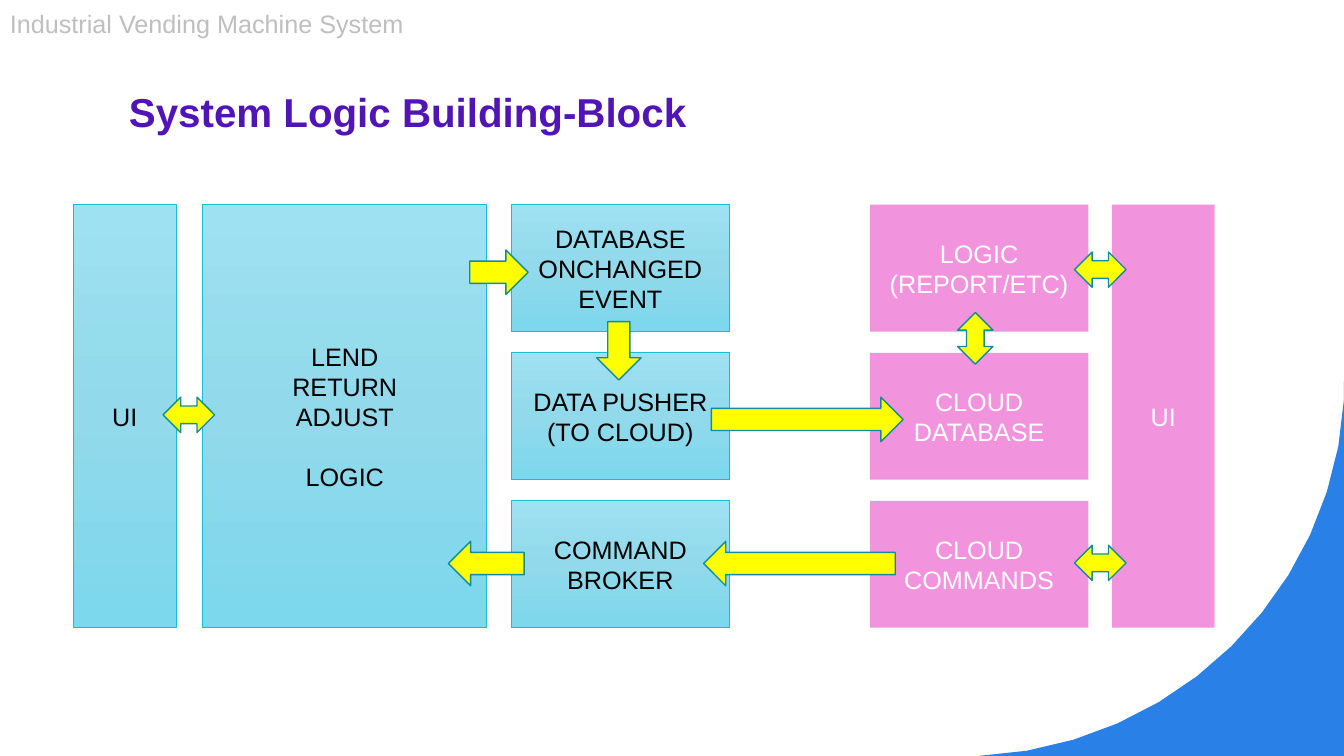
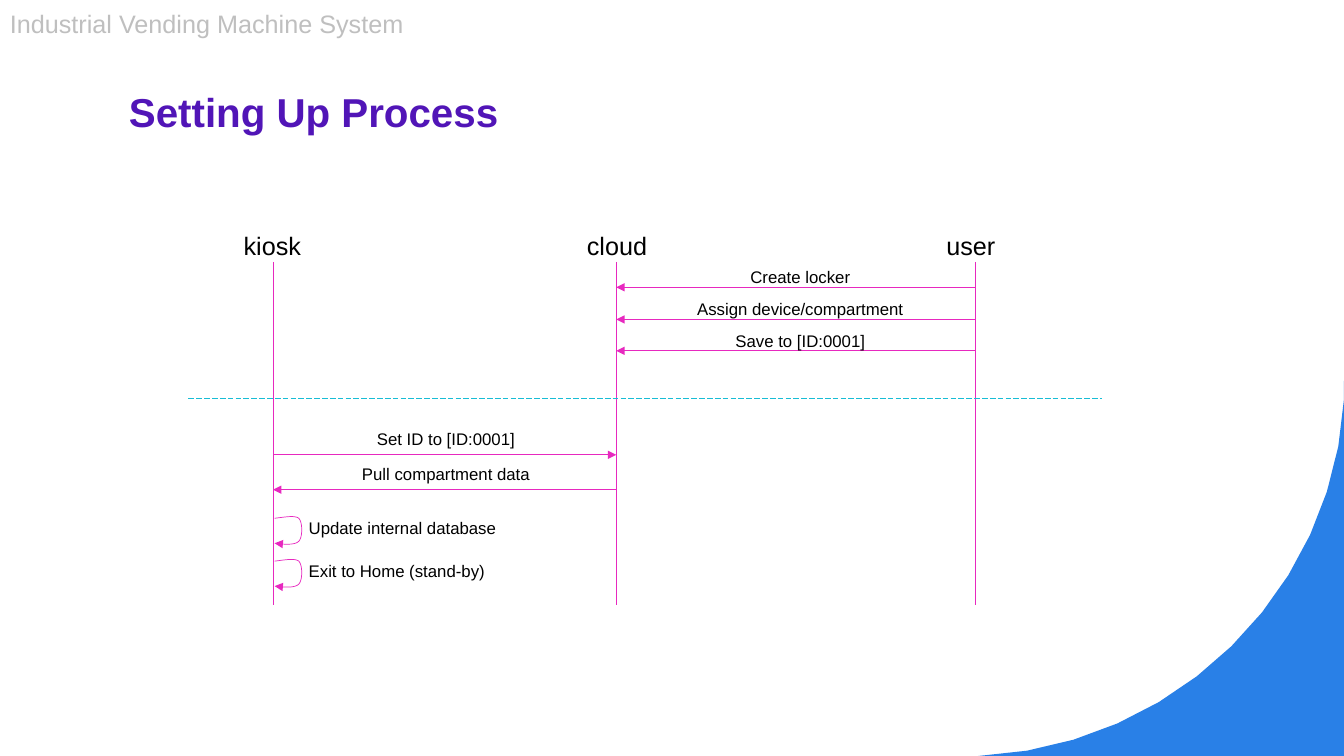
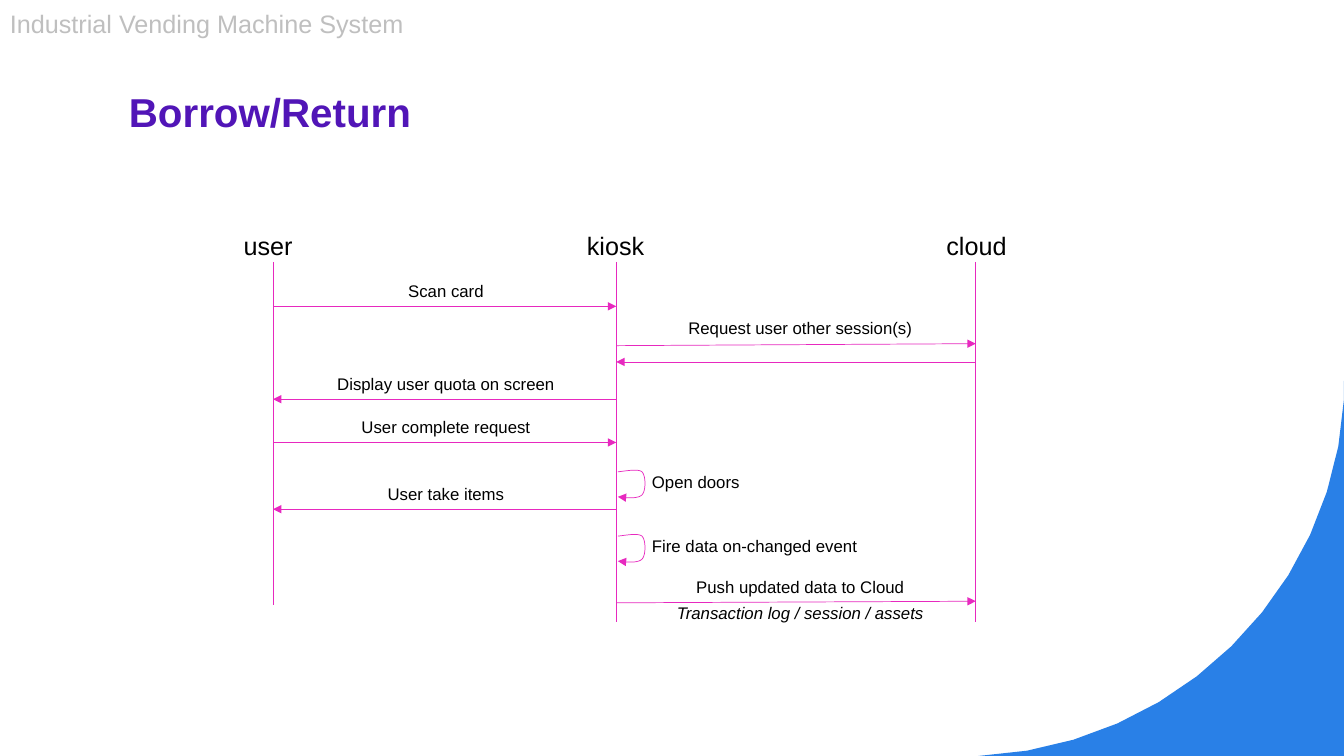
from copy import deepcopy
from dataclasses import dataclass

from lxml import etree
from pptx import Presentation
from pptx.dml.color import RGBColor
from pptx.enum.dml import MSO_LINE
from pptx.enum.shapes import MSO_CONNECTOR, MSO_SHAPE
from pptx.enum.text import MSO_ANCHOR, PP_ALIGN
from pptx.oxml.ns import qn
from pptx.util import Cm, Pt

LEFT, CENTER = PP_ALIGN.LEFT, PP_ALIGN.CENTER
TOP, MIDDLE, BOTTOM = MSO_ANCHOR.TOP, MSO_ANCHOR.MIDDLE, MSO_ANCHOR.BOTTOM
RECTANGLE = MSO_SHAPE.RECTANGLE
ONE_WAY, TWO_WAY = MSO_SHAPE.RIGHT_ARROW, MSO_SHAPE.LEFT_RIGHT_ARROW
STRAIGHT, LONG_DASH = MSO_CONNECTOR.STRAIGHT, MSO_LINE.LONG_DASH

FONT = "Arial"
COLORS = {
    "title": "5115B7",
    "header": "BFBFBF",
    "corner": "2980E7",
    "text": "000000",
    "white": "FFFFFF",
    "teal": "17BDD5",
    "magenta": "E729BF",
    "arrow": "FFFF00",
    "arrow_line": "118C9E",
    "gradient_top": "9EE1F2",
    "gradient_middle": "91D9EB",
    "gradient_bottom": "7CD8ED",
}
GRADIENT = ((0, "gradient_top"), (0.5, "gradient_middle"), (1, "gradient_bottom"))

SLIDE_WIDTH, SLIDE_HEIGHT = 33.87, 19.05
CURVE_STEPS = 12

ROW_TOP, ROW_PITCH, ROW_HEIGHT = 5.16, 3.73, 3.2
EVENT_LEFT, CLOUD_LEFT, MODULE_WIDTH, UI_WIDTH = 12.88, 21.92, 5.51, 2.59
ONE_WAY_HEIGHT, TWO_WAY_WIDTH, TWO_WAY_HEIGHT = 1.12, 1.3, 0.89

LANES = (6.88, 15.53, 24.59)
LABEL_CENTERS = (11.24, 20.17)
LANE_TOP, LANE_BOTTOM = 6.6, 15.24
LABEL_WIDTH, LABEL_HEIGHT = 7.0, 0.76
LOOP_CURVES = (
    ((0, 0), (0.25, -0.03), (0.51, -0.08), (0.61, 0)),
    ((0.61, 0), (0.71, 0.1), (0.71, 0.48), (0.61, 0.58)),
    ((0.61, 0.58), (0.51, 0.68), (0.25, 0.66), (0, 0.63)),
)


@dataclass
class Block:
    left: float
    width: float
    text: str
    row: int = 0
    rows: int = 1
    cloud: bool = False
    last_line: str = ""


@dataclass
class Arrow:
    left: float
    top: float
    width: float = TWO_WAY_WIDTH
    rotation: int = 0
    two_way: bool = False


@dataclass
class Message:
    start: int
    end: int
    y: float
    label: str = ""
    gap: float = 0.77
    rise: float = 0
    note: str = ""


@dataclass
class Loop:
    lane: int
    y: float
    label: str


@dataclass
class Sequence:
    title: str
    actors: tuple
    bottoms: tuple
    messages: list
    loops: list


BLOCKS = [
    Block(1.85, UI_WIDTH, "UI", rows=3),
    Block(5.11, 7.16, "LEND\nRETURN\nADJUST", rows=3, last_line="LOGIC"),
    Block(EVENT_LEFT, MODULE_WIDTH, "DATABASE\nONCHANGED\nEVENT"),
    Block(EVENT_LEFT, MODULE_WIDTH, "DATA PUSHER\n(TO CLOUD)", row=1),
    Block(EVENT_LEFT, MODULE_WIDTH, "COMMAND\nBROKER", row=2),
    Block(CLOUD_LEFT, MODULE_WIDTH, "LOGIC\n(REPORT/ETC)", cloud=True),
    Block(CLOUD_LEFT, MODULE_WIDTH, "CLOUD\nDATABASE", row=1, cloud=True),
    Block(CLOUD_LEFT, MODULE_WIDTH, "CLOUD\nCOMMANDS", row=2, cloud=True),
    Block(28.02, UI_WIDTH, "UI", rows=3, cloud=True),
]

ARROWS = [
    Arrow(4.11, 10.01, two_way=True),
    Arrow(27.08, 6.35, two_way=True),
    Arrow(27.08, 13.74, two_way=True),
    Arrow(23.93, 8.08, rotation=270, two_way=True),
    Arrow(11.84, 6.3, 1.47),
    Arrow(14.86, 8.28, 1.47, 90),
    Arrow(17.93, 10.01, 4.83),
    Arrow(17.73, 13.64, 4.83, 180),
    Arrow(11.3, 13.64, 1.91, 180),
]

SETUP = Sequence(
    "Setting Up Process",
    ("kiosk", "cloud", "user"),
    (LANE_BOTTOM, LANE_BOTTOM, LANE_BOTTOM),
    [
        Message(2, 1, 7.24, "Create locker", 0.64),
        Message(2, 1, 8.05, "Assign device/compartment", 0.64),
        Message(2, 1, 8.84, "Save to [ID:0001]", 0.64),
        Message(0, 1, 11.46, "Set ID to [ID:0001]"),
        Message(1, 0, 12.34, "Pull compartment data"),
    ],
    [
        Loop(0, 13.06, "Update internal database"),
        Loop(0, 14.14, "Exit to Home (stand-by)"),
    ],
)

BORROW = Sequence(
    "Borrow/Return",
    ("user", "kiosk", "cloud"),
    (LANE_BOTTOM, 15.67, 15.67),
    [
        Message(0, 1, 7.72, "Scan card"),
        Message(1, 2, 8.71, "Request user other session(s)", 0.84, 0.05),
        Message(2, 1, 9.12),
        Message(1, 0, 10.06, "Display user quota on screen"),
        Message(0, 1, 11.15, "User complete request"),
        Message(1, 0, 12.83, "User take items"),
        Message(1, 2, 15.19, "Push updated data to Cloud", 0.58, 0.04,
                "Transaction log / session / assets"),
    ],
    [
        Loop(1, 11.89, "Open doors"),
        Loop(1, 13.51, "Fire data on-changed event"),
    ],
)


def rgb(name: str) -> RGBColor:
    """Look up a colour by its role."""
    return RGBColor.from_string(COLORS[name])


def write(paragraph, text: str, size: float, color: str, align=LEFT) -> None:
    """Fill a paragraph and style it."""
    paragraph.text = text
    paragraph.alignment = align
    paragraph.font.name = FONT
    paragraph.font.size = Pt(size)
    paragraph.font.color.rgb = rgb(color)


def add_text(slide, box: tuple, text: str, size: float, color: str = "text",
             align=LEFT, anchor=TOP):
    """Add a wrapped text box and return its text frame."""
    frame = slide.shapes.add_textbox(*map(Cm, box)).text_frame
    frame.word_wrap = True
    frame.vertical_anchor = anchor
    write(frame.paragraphs[0], text, size, color, align)
    return frame


def bezier(start: tuple, control_1: tuple, control_2: tuple, end: tuple) -> list:
    """Sample a cubic curve, leaving out its first point."""
    points = []
    for step in range(1, CURVE_STEPS + 1):
        t = step / CURVE_STEPS
        weights = ((1 - t) ** 3, 3 * t * (1 - t) ** 2, 3 * t * t * (1 - t), t ** 3)
        corners = (start, control_1, control_2, end)
        points.append(tuple(
            sum(weight * corner[axis] for weight, corner in zip(weights, corners))
            for axis in (0, 1)))
    return points


def add_outline(slide, points: list, closed: bool):
    """Add a freeform through points given in centimetres."""
    start, *rest = [(Cm(x), Cm(y)) for x, y in points]
    builder = slide.shapes.build_freeform(*start, scale=1.0)
    builder.add_line_segments(rest, close=closed)
    shape = builder.convert_to_shape()
    shape.shadow.inherit = False
    return shape


def set_line(shape, color: str, width: float = 0.5, arrowhead: bool = False) -> None:
    """Style a line, with a triangle at its end when asked."""
    shape.line.color.rgb = rgb(color)
    shape.line.width = Pt(width)
    if arrowhead:
        line = shape.element.spPr.find(qn("a:ln"))
        etree.SubElement(line, qn("a:tailEnd"), type="triangle")


def add_line(slide, start: tuple, end: tuple, color: str = "magenta",
             arrowhead: bool = False):
    """Add a straight connector without a shadow."""
    connector = slide.shapes.add_connector(STRAIGHT, *map(Cm, (*start, *end)))
    set_line(connector, color, arrowhead=arrowhead)
    etree.SubElement(connector.element.spPr, qn("a:effectLst"))
    return connector


def add_slide(presentation, title: str):
    """Add a slide with the corner, title and header that all slides share."""
    slide = presentation.slides.add_slide(presentation.slide_layouts[6])
    arc_start = (24.66, SLIDE_HEIGHT)
    arc = bezier(arc_start, (29.64, 18.82), (33.6, 14.91), (SLIDE_WIDTH, 10.06))
    edge = [(SLIDE_WIDTH, 9.6), (SLIDE_WIDTH, SLIDE_HEIGHT), arc_start]
    corner = add_outline(slide, edge + arc, closed=True)
    corner.fill.solid()
    corner.fill.fore_color.rgb = rgb("corner")
    corner.line.fill.background()
    heading = add_text(slide, (3, 2.01, 27.64, 1.52), title, 28.8, "title",
                       anchor=BOTTOM).paragraphs[0]
    heading.font.bold = True
    heading.line_spacing = 1.1
    add_text(slide, (0, 0.08, SLIDE_WIDTH, 1.02),
             "Industrial Vending Machine System", 18, "header")
    return slide


def fill_gradient(shape) -> None:
    """Give a shape the three-stop vertical gradient."""
    shape.fill.gradient()
    shape.fill.gradient_angle = 270
    stop_list = shape.element.spPr.find(".//" + qn("a:gsLst"))
    stop_list.insert(1, deepcopy(stop_list[0]))
    for stop, (position, color) in zip(shape.fill.gradient_stops, GRADIENT):
        stop.position = position
        stop.color.rgb = rgb(color)


def fill_translucent(shape, color: str) -> None:
    """Give a shape a half-transparent fill."""
    shape.fill.solid()
    shape.fill.fore_color.rgb = rgb(color)
    color_element = shape.element.spPr.find(".//" + qn("a:srgbClr"))
    etree.SubElement(color_element, qn("a:alpha"), val="50000")


def add_block(slide, block: Block) -> None:
    """Draw one building block."""
    top = ROW_TOP + block.row * ROW_PITCH
    height = (block.rows - 1) * ROW_PITCH + ROW_HEIGHT
    shape = slide.shapes.add_shape(
        RECTANGLE, *map(Cm, (block.left, top, block.width, height)))
    shape.shadow.inherit = False
    if block.cloud:
        fill_translucent(shape, "magenta")
        shape.line.fill.background()
    else:
        fill_gradient(shape)
        set_line(shape, "teal")
    color = "white" if block.cloud else "text"
    frame = shape.text_frame
    frame.vertical_anchor = MIDDLE
    write(frame.paragraphs[0], block.text, 18, color, CENTER)
    if block.last_line:
        paragraph = frame.add_paragraph()
        write(paragraph, block.last_line, 18, color, CENTER)
        paragraph.space_before = Pt(21)


def add_arrow(slide, arrow: Arrow) -> None:
    """Draw one block arrow."""
    kind, height = (TWO_WAY, TWO_WAY_HEIGHT) if arrow.two_way else (ONE_WAY, ONE_WAY_HEIGHT)
    shape = slide.shapes.add_shape(
        kind, *map(Cm, (arrow.left, arrow.top, arrow.width, height)))
    shape.rotation = arrow.rotation
    shape.shadow.inherit = False
    shape.fill.solid()
    shape.fill.fore_color.rgb = rgb("arrow")
    set_line(shape, "arrow_line", 1)


def add_message(slide, message: Message) -> None:
    """Draw an arrow between two lanes with its label."""
    add_line(slide, (LANES[message.start], message.y),
             (LANES[message.end], message.y - message.rise), arrowhead=True)
    if not message.label:
        return
    left = LABEL_CENTERS[min(message.start, message.end)] - LABEL_WIDTH / 2
    box = (left, message.y - message.gap, LABEL_WIDTH, LABEL_HEIGHT)
    frame = add_text(slide, box, message.label, 12, align=CENTER)
    if message.note:
        note = frame.add_paragraph()
        write(note, message.note, 12, "text", CENTER)
        note.font.italic = True
        note.space_before = Pt(9)
        for paragraph in frame.paragraphs:
            paragraph.line_spacing = Pt(9)


def add_loop(slide, loop: Loop) -> None:
    """Draw an arrow from a lane back to itself with its label."""
    lane = LANES[loop.lane]
    points = [(0, 0)] + [point for curve in LOOP_CURVES for point in bezier(*curve)]
    shape = add_outline(
        slide, [(lane + 0.04 + x, loop.y + y) for x, y in points], closed=False)
    shape.fill.background()
    set_line(shape, "magenta", arrowhead=True)
    add_text(slide, (lane + 0.65, loop.y - 0.13, LABEL_WIDTH, LABEL_HEIGHT),
             loop.label, 12)


def add_sequence(presentation, sequence: Sequence):
    """Add a slide with a sequence diagram."""
    slide = add_slide(presentation, sequence.title)
    for lane, actor, bottom in zip(LANES, sequence.actors, sequence.bottoms):
        add_line(slide, (lane, LANE_TOP), (lane, bottom))
        add_text(slide, (lane - 0.99, 5.69, 2.5, 1.02), actor, 18)
    for message in sequence.messages:
        add_message(slide, message)
    for loop in sequence.loops:
        add_loop(slide, loop)
    return slide


def main() -> None:
    """Build the presentation."""
    presentation = Presentation()
    presentation.slide_width = Cm(SLIDE_WIDTH)
    presentation.slide_height = Cm(SLIDE_HEIGHT)
    slide = add_slide(presentation, "System Logic Building-Block")
    for block in BLOCKS:
        add_block(slide, block)
    for arrow in ARROWS:
        add_arrow(slide, arrow)
    setup_slide = add_sequence(presentation, SETUP)
    divider = add_line(setup_slide, (4.75, 10.03), (27.76, 10.03), "teal")
    divider.line.dash_style = LONG_DASH
    add_sequence(presentation, BORROW)
    presentation.save("out.pptx")


if __name__ == "__main__":
    main()
